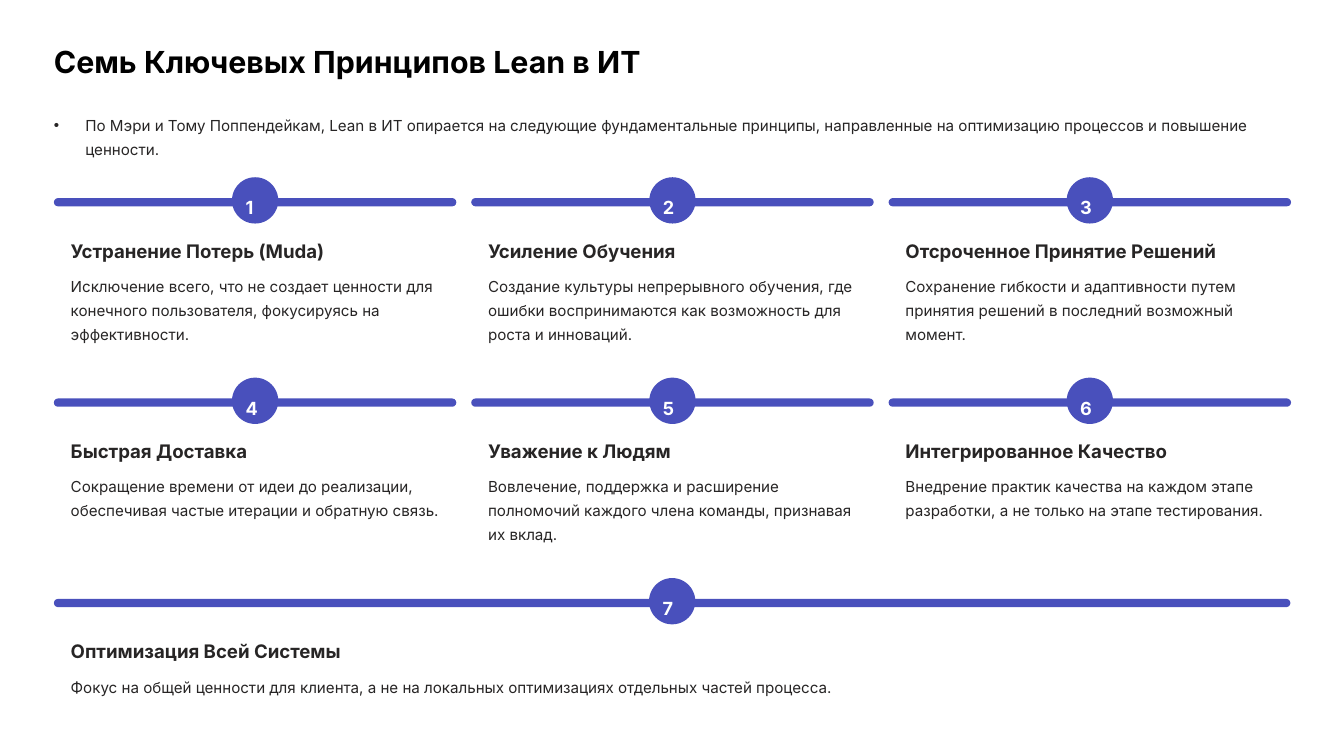
from lxml.etree import SubElement
from pptx import Presentation
from pptx.dml.color import RGBColor
from pptx.enum.shapes import MSO_SHAPE as Shape
from pptx.enum.text import MSO_ANCHOR as Anchor, MSO_AUTO_SIZE as AutoSize, PP_ALIGN as Align
from pptx.oxml.ns import qn
from pptx.util import Cm, Pt

ACCENT, INK, BLACK, WHITE = "4950BC", "272525", "000000", "FFFFFF"
LEFT, FULL_WIDTH = 1.63, 37.39
COLUMN_WIDTH, COLUMN_STEP = 12.17, 12.62
FIRST_BAR, ROW_STEP = 5.99, 6.06
BAR_HEIGHT, BADGE_SIZE, INSET = 0.25, 1.4, 0.51
LINE_HEIGHT = 0.73
TITLE = "Семь Ключевых Принципов Lean в ИТ"
INTRO = ("По Мэри и Тому Поппендейкам, Lean в ИТ опирается на следующие фундаментальные "
         "принципы, направленные на оптимизацию процессов и повышение ценности.")
PRINCIPLES = [
    ("Устранение Потерь (Muda)", "Исключение всего, что не создает ценности для "
     "конечного пользователя, фокусируясь на эффективности.", 3),
    ("Усиление Обучения", "Создание культуры непрерывного обучения, где ошибки "
     "воспринимаются как возможность для роста и инноваций.", 3),
    ("Отсроченное Принятие Решений", "Сохранение гибкости и адаптивности путем "
     "принятия решений в последний возможный момент.", 3),
    ("Быстрая Доставка", "Сокращение времени от идеи до реализации, обеспечивая "
     "частые итерации и обратную связь.", 3),
    ("Уважение к Людям", "Вовлечение, поддержка и расширение полномочий каждого "
     "члена команды, признавая их вклад.", 3),
    ("Интегрированное Качество", "Внедрение практик качества на каждом этапе "
     "разработки, а не только на этапе тестирования.", 2),
    ("Оптимизация Всей Системы", "Фокус на общей ценности для клиента, а не на "
     "локальных оптимизациях отдельных частей процесса.", 1),
]


def color(value):
    """Turn a hex string into a colour."""
    return RGBColor.from_string(value)


def write(box, text, size, line, ink=INK, bold=False):
    """Put one formatted left-aligned paragraph into a box without margins."""
    frame = box.text_frame
    frame.text = text
    frame.word_wrap = True
    frame.auto_size = AutoSize.NONE
    frame.vertical_anchor = Anchor.TOP
    frame.margin_left = frame.margin_right = frame.margin_top = frame.margin_bottom = 0
    para = frame.paragraphs[0]
    para.alignment = Align.LEFT
    para.line_spacing = Pt(line)
    para.space_before = Pt(0)
    font = para.font
    font.name, font.size, font.bold = "Inter", Pt(size), bold
    font.color.rgb = color(ink)


def place(box, left, top, width, height):
    """Move and size a placeholder."""
    box.left, box.top, box.width, box.height = Cm(left), Cm(top), Cm(width), Cm(height)


def add_text(page, left, top, width, height, *style, **options):
    """Add a text box with one paragraph."""
    box = page.shapes.add_textbox(Cm(left), Cm(top), Cm(width), Cm(height))
    write(box, *style, **options)


def add_pill(page, left, top, width, height):
    """Add an accent shape with fully rounded ends."""
    pill = page.shapes.add_shape(Shape.ROUNDED_RECTANGLE, Cm(left), Cm(top), Cm(width), Cm(height))
    pill.adjustments[0] = 0.5
    pill.fill.solid()
    pill.fill.fore_color.rgb = color(ACCENT)
    pill.line.fill.background()
    pill.shadow.inherit = False


def add_principle(page, number, left, top, width, heading, detail, lines):
    """Add a bar with a numbered badge, a heading and a description."""
    badge_left, badge_top = left + (width - BADGE_SIZE) / 2, top - 0.63
    text_left, text_width = left + INSET, width - 2 * INSET
    add_pill(page, left, top, width, BAR_HEIGHT)
    add_pill(page, badge_left, badge_top, BADGE_SIZE, BADGE_SIZE)
    add_text(page, badge_left + 0.41, badge_top + 0.36, 0.56, 0.69,
             str(number), 15.5, 25, ink=WHITE, bold=True)
    add_text(page, text_left, top + 1.22, text_width, 0.71, heading, 16, 20, bold=True)
    add_text(page, text_left, top + 2.22, text_width, lines * LINE_HEIGHT, detail, 13, 20.5)


def add_header(page):
    """Fill the title and the introduction placeholders."""
    title, intro = page.shapes.title, page.placeholders[1]
    place(title, LEFT, 1.27, FULL_WIDTH, 1.17)
    write(title, TITLE, 26, 32.5, ink=BLACK, bold=True)
    place(intro, LEFT, 3.35, FULL_WIDTH, 2 * LINE_HEIGHT)
    intro.text_frame.text = INTRO
    properties = intro.text_frame.paragraphs[0]._p.get_or_add_pPr()
    properties.set("marL", "0")
    properties.set("indent", "0")
    SubElement(properties, qn("a:buNone"))
    write(intro, INTRO, 13, 20.5)


def main():
    """Build the slide and save it."""
    deck = Presentation()
    deck.slide_width, deck.slide_height = Cm(40.64), Cm(22.86)
    page = deck.slides.add_slide(deck.slide_layouts[1])
    add_header(page)
    for index, principle in enumerate(PRINCIPLES):
        row, column = divmod(index, 3)
        width = FULL_WIDTH if row == 2 else COLUMN_WIDTH
        add_principle(page, index + 1, LEFT + column * COLUMN_STEP,
                      FIRST_BAR + row * ROW_STEP, width, *principle)
    deck.save("out.pptx")


if __name__ == "__main__":
    main()
